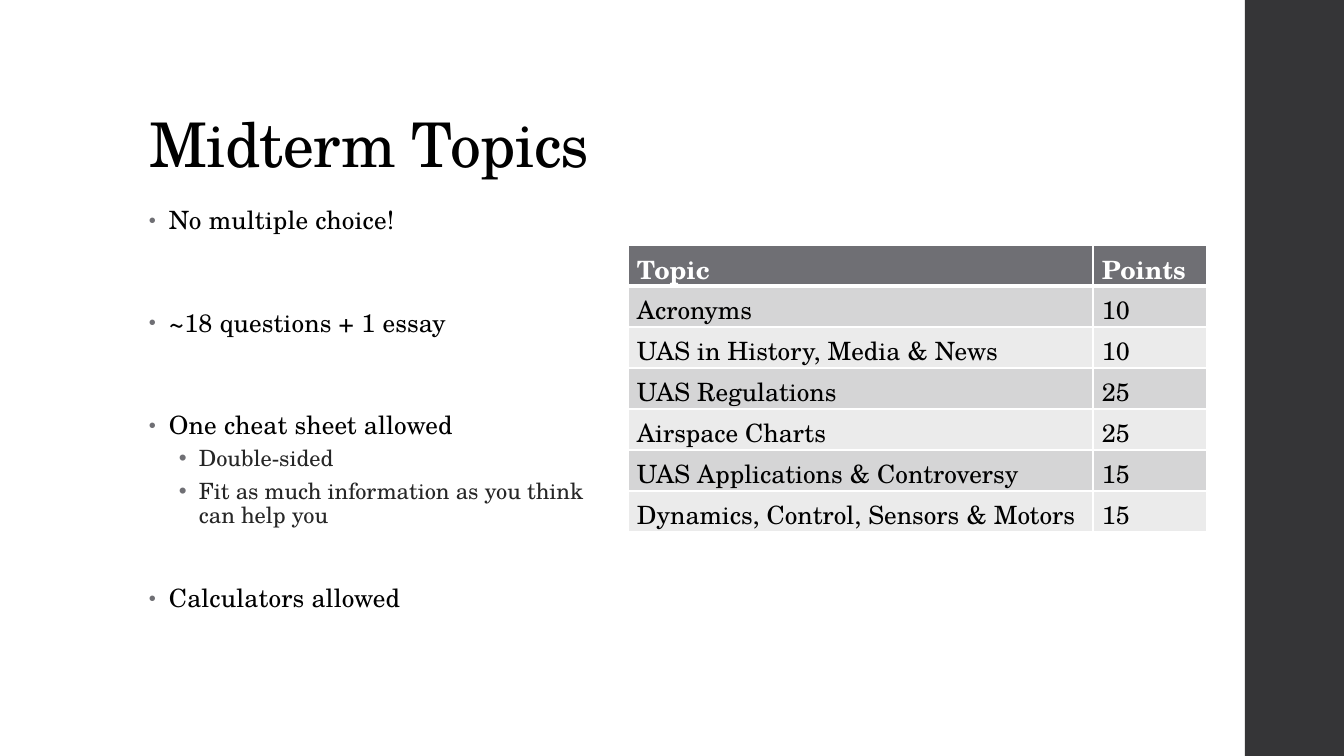
from dataclasses import dataclass

from lxml import etree
from pptx import Presentation
from pptx.dml.color import RGBColor
from pptx.enum.shapes import MSO_SHAPE
from pptx.enum.text import MSO_ANCHOR, PP_ALIGN
from pptx.oxml.ns import qn
from pptx.slide import Slide
from pptx.table import _Cell
from pptx.text.text import TextFrame, _Paragraph
from pptx.util import Emu, Pt

RECTANGLE = MSO_SHAPE.RECTANGLE
TOP = MSO_ANCHOR.TOP
BOTTOM = MSO_ANCHOR.BOTTOM
LEFT = PP_ALIGN.LEFT
PIXEL = 914400 / 100.8


@dataclass(frozen=True)
class Theme:
    font: str = "TeX Gyre Schola"
    black: str = "000000"
    white: str = "FFFFFF"
    sidebar: str = "353537"
    accent: str = "6F6F74"
    detail: str = "262626"
    bands: tuple[str, str] = ("D5D5D6", "EBEBEB")
    title_size: int = 44
    body_size: int = 18
    detail_size: int = 16


THEME = Theme()


@dataclass(frozen=True)
class Box:
    left: int
    top: int
    width: int
    height: int

    def emu(self) -> tuple[Emu, Emu, Emu, Emu]:
        return px(self.left), px(self.top), px(self.width), px(self.height)


@dataclass(frozen=True)
class TextStyle:
    size: int
    color: str
    bold: bool = False
    tracking: int = 0


@dataclass(frozen=True)
class BulletStyle:
    text: TextStyle
    indent: int
    line_spacing: float
    before: float
    after: float
    bullet_percent: int


@dataclass(frozen=True)
class Bullet:
    text: str
    style: BulletStyle
    extra_before: float = 0


@dataclass(frozen=True)
class Topic:
    name: str
    points: str


SIDEBAR_BOX = Box(1245, 0, 99, 756)
TITLE_BOX = Box(139, 40, 1068, 146)
BULLETS_BOX = Box(139, 202, 494, 480)
TABLE_BOX = Box(628, 245, 579, 287)
COLUMN_WIDTHS = (465, 114)
HANGING = 20

TITLE_TEXT = TextStyle(THEME.title_size, THEME.black, tracking=-50)
HEADER_TEXT = TextStyle(THEME.body_size, THEME.white, bold=True)
CELL_TEXT = TextStyle(THEME.body_size, THEME.black)
MAIN = BulletStyle(TextStyle(THEME.body_size, THEME.black, tracking=10), 20, 0.95, 14, 2, 80)
DETAIL = BulletStyle(TextStyle(THEME.detail_size, THEME.detail), 50, 0.9, 3, 3, 100)

MAIN_GAP = 36.5
DETAIL_GAP = 23.5
BULLETS = (
    Bullet("No multiple choice!", MAIN),
    Bullet("~18 questions + 1 essay", MAIN, MAIN_GAP),
    Bullet("One cheat sheet allowed", MAIN, MAIN_GAP),
    Bullet("Double-sided", DETAIL),
    Bullet("Fit as much information as you think can help you", DETAIL),
    Bullet("Calculators allowed", MAIN, DETAIL_GAP),
)
TOPICS = (
    Topic("Topic", "Points"),
    Topic("Acronyms", "10"),
    Topic("UAS in History, Media & News", "10"),
    Topic("UAS Regulations", "25"),
    Topic("Airspace Charts", "25"),
    Topic("UAS Applications & Controversy", "15"),
    Topic("Dynamics, Control, Sensors & Motors", "15"),
)


def px(pixels: int) -> Emu:
    return Emu(round(pixels * PIXEL))


def format_runs(paragraph: _Paragraph, style: TextStyle) -> None:
    for run in paragraph.runs:
        run.font.name = THEME.font
        run.font.size = Pt(style.size)
        run.font.bold = style.bold
        run.font.color.rgb = RGBColor.from_string(style.color)
        run._r.get_or_add_rPr().set("spc", str(style.tracking))


def set_insets(frame: TextFrame | _Cell, horizontal: int, vertical: int) -> None:
    frame.margin_left = frame.margin_right = px(horizontal)
    frame.margin_top = frame.margin_bottom = px(vertical)


def add_sidebar(slide: Slide) -> None:
    sidebar = slide.shapes.add_shape(RECTANGLE, *SIDEBAR_BOX.emu())
    sidebar.shadow.inherit = False
    sidebar.fill.solid()
    sidebar.fill.fore_color.rgb = RGBColor.from_string(THEME.sidebar)
    sidebar.line.fill.background()


def set_title(slide: Slide, text: str) -> None:
    title = slide.shapes.title
    title.left, title.top, title.width, title.height = TITLE_BOX.emu()
    frame = title.text_frame
    frame.text = text
    frame.vertical_anchor = BOTTOM
    set_insets(frame, 10, 5)
    paragraph = frame.paragraphs[0]
    paragraph.alignment = LEFT
    paragraph.line_spacing = 0.9
    format_runs(paragraph, TITLE_TEXT)


def format_bullet(paragraph: _Paragraph, bullet: Bullet) -> None:
    style = bullet.style
    paragraph.text = bullet.text
    paragraph.line_spacing = style.line_spacing
    paragraph.space_before = Pt(style.before + bullet.extra_before)
    paragraph.space_after = Pt(style.after)
    format_runs(paragraph, style.text)
    properties = paragraph._p.get_or_add_pPr()
    properties.set("marL", str(px(style.indent)))
    properties.set("indent", str(px(-HANGING)))
    color = etree.SubElement(properties, qn("a:buClr"))
    etree.SubElement(color, qn("a:srgbClr"), val=THEME.accent)
    etree.SubElement(properties, qn("a:buSzPct"), val=str(style.bullet_percent * 1000))
    etree.SubElement(properties, qn("a:buFont"), typeface="Arial")
    etree.SubElement(properties, qn("a:buChar"), char="•")


def add_bullets(slide: Slide) -> None:
    frame = slide.shapes.add_textbox(*BULLETS_BOX.emu()).text_frame
    frame.word_wrap = True
    frame.vertical_anchor = TOP
    set_insets(frame, 10, 5)
    for index, bullet in enumerate(BULLETS):
        paragraph = frame.add_paragraph() if index else frame.paragraphs[0]
        format_bullet(paragraph, bullet)


def set_borders(cell: _Cell, top: int, bottom: int) -> None:
    properties = cell._tc.get_or_add_tcPr()
    widths = {"a:lnL": 1, "a:lnR": 1, "a:lnT": top, "a:lnB": bottom}
    for position, (tag, width) in enumerate(widths.items()):
        border = etree.Element(qn(tag), w=str(Pt(width)))
        fill = etree.SubElement(border, qn("a:solidFill"))
        etree.SubElement(fill, qn("a:srgbClr"), val=THEME.white)
        properties.insert(position, border)


def add_topics_table(slide: Slide) -> None:
    frame = slide.shapes.add_table(len(TOPICS), len(COLUMN_WIDTHS), *TABLE_BOX.emu())
    table = frame.table
    for column, width in zip(table.columns, COLUMN_WIDTHS):
        column.width = px(width)
    for row_index, topic in enumerate(TOPICS):
        table.rows[row_index].height = px(TABLE_BOX.height // len(TOPICS))
        is_header = row_index == 0
        color = THEME.accent if is_header else THEME.bands[(row_index - 1) % 2]
        for column_index, text in enumerate((topic.name, topic.points)):
            cell = table.cell(row_index, column_index)
            cell.text_frame.text = text
            set_insets(cell, 9, 5)
            cell.fill.solid()
            cell.fill.fore_color.rgb = RGBColor.from_string(color)
            set_borders(cell, 3 if row_index == 1 else 1, 3 if is_header else 1)
            format_runs(cell.text_frame.paragraphs[0], HEADER_TEXT if is_header else CELL_TEXT)


presentation = Presentation()
presentation.slide_width = px(1344)
presentation.slide_height = px(756)
slide = presentation.slides.add_slide(presentation.slide_layouts[5])
add_sidebar(slide)
set_title(slide, "Midterm Topics")
add_bullets(slide)
add_topics_table(slide)
presentation.save("out.pptx")
